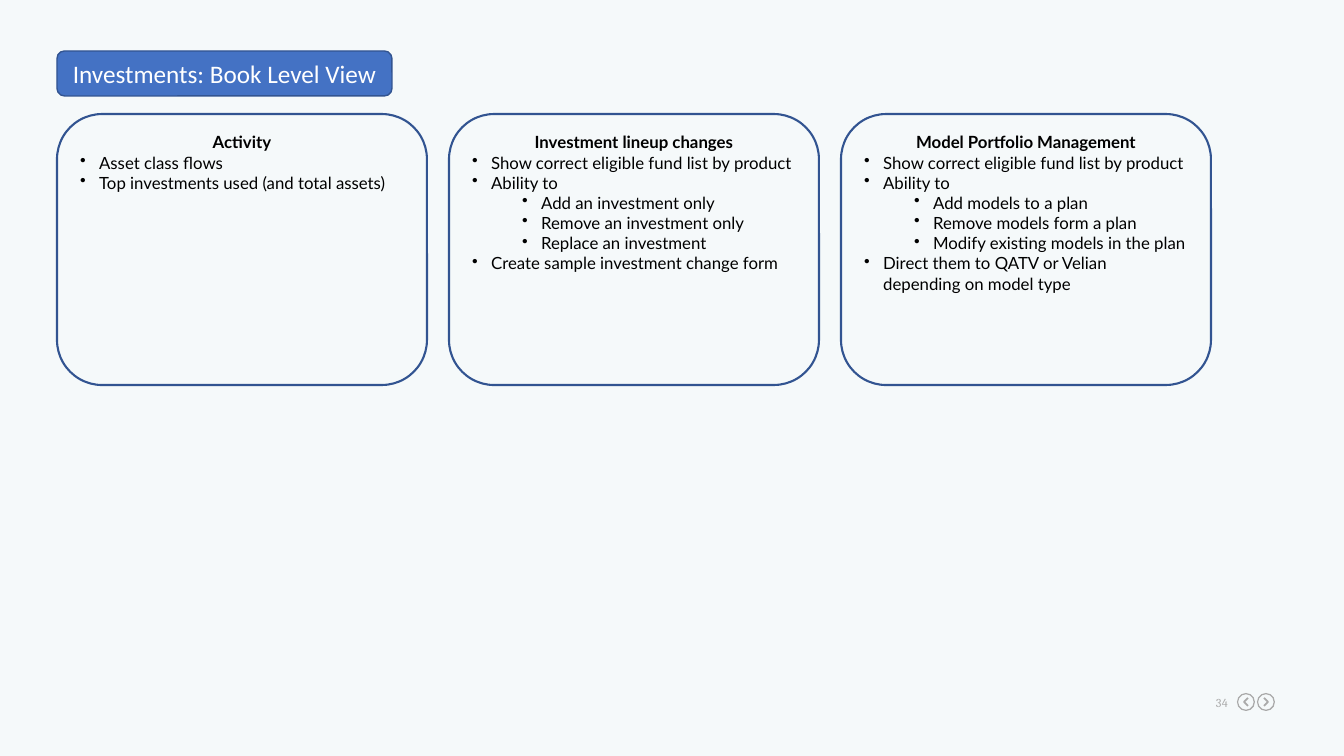
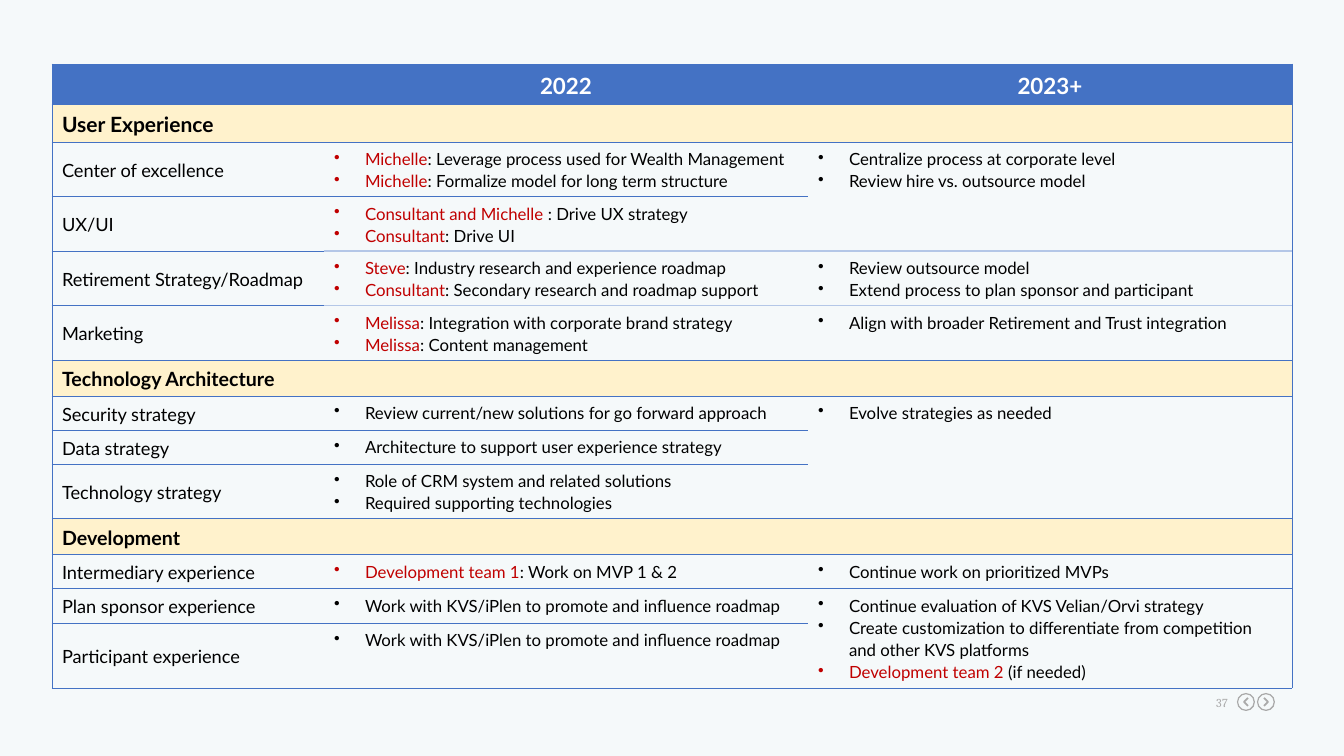
import itertools

import lxml.etree
import pptx
import pptx.dml.color
import pptx.enum.shapes
import pptx.enum.text
import pptx.oxml.ns
import pptx.util

SHAPE = pptx.enum.shapes.MSO_SHAPE
ALIGN = pptx.enum.text.PP_ALIGN
ANCHOR = pptx.enum.text.MSO_ANCHOR
PLAIN_TABLE = "{2D5ABB26-0587-4C30-8999-92F81FD0307C}"
COLORS = {
    "page": "F5F9FA",
    "blue": "4472C4",
    "navy": "325491",
    "pale": "B4C7E7",
    "cream": "FFF2CC",
    "red": "C00000",
    "black": "000000",
    "white": "FFFFFF",
    "grey": "AAAAAA",
}


def px(length):
    """Turn pixels into EMU."""
    return pptx.util.Emu(round(length * 12192000 / 1344))


def rgb(name):
    """Look up a palette colour."""
    return pptx.dml.color.RGBColor.from_string(COLORS[name])


def add_xml(parent, tag, **attributes):
    """Append a drawing element to a parent."""
    return lxml.etree.SubElement(parent, pptx.oxml.ns.qn(tag), attributes)


class Deck:
    """Hold the shared style and the current slide."""

    def __init__(self):
        """Open an empty widescreen presentation."""
        self.presentation = pptx.Presentation()
        self.presentation.slide_width = px(1344)
        self.presentation.slide_height = px(756)

    def new_slide(self, number):
        """Start a slide with its background and footer."""
        self.slide = self.presentation.slides.add_slide(self.presentation.slide_layouts[6])
        self.slide.background.fill.solid()
        self.slide.background.fill.fore_color.rgb = rgb("page")
        self.page_number(number)
        self.nav_button(1237, -1)
        self.nav_button(1257, 1)

    def page_number(self, number):
        """Put the page number in the footer."""
        frame = self.slide.shapes.add_textbox(px(1203), px(695), px(25), px(15)).text_frame
        frame.word_wrap = True
        frame.margin_left = frame.margin_right = frame.margin_top = frame.margin_bottom = 0
        paragraph = frame.paragraphs[0]
        self.put_text(paragraph, str(number), 8.7, "grey", font="Cambria", align=ALIGN.RIGHT)
        paragraph.runs[0].font._element.set("spc", "30")

    def nav_button(self, left, direction):
        """Draw a ringed chevron pointing left (-1) or right (1)."""
        ring = self.shape(SHAPE.DONUT, left, 693, 18, 18, fill="grey")
        ring.adjustments[0] = 0.07
        middle = left + 9
        back, tip = middle - 2 * direction, middle + 2 * direction
        outline = self.slide.shapes.build_freeform(px(back), px(698))
        outline.add_line_segments([(px(tip), px(702)), (px(back), px(706))], close=False)
        self.paint(outline.convert_to_shape(), line="grey", weight=1.25)

    def paint(self, shape, fill=None, line=None, weight=1):
        """Set a shape's fill and line and remove its shadow."""
        shape.shadow.inherit = False
        if fill:
            shape.fill.solid()
            shape.fill.fore_color.rgb = rgb(fill)
        else:
            shape.fill.background()
        if line:
            shape.line.color.rgb = rgb(line)
            shape.line.width = pptx.util.Pt(weight)
        else:
            shape.line.fill.background()

    def shape(self, preset, left, top, width, height, **style):
        """Add a painted preset shape."""
        shape = self.slide.shapes.add_shape(preset, px(left), px(top), px(width), px(height))
        self.paint(shape, **style)
        return shape

    def put_text(self, paragraph, text, size, color="black", font="Lato", bold=False,
                 align=ALIGN.LEFT, spacing=None):
        """Put in text, or an (owner, rest) pair with the owner in red."""
        paragraph.alignment = align
        if spacing:
            paragraph.line_spacing = spacing
        paragraph.font.name = font
        paragraph.font.size = pptx.util.Pt(size)
        paragraph.font.bold = bold
        if isinstance(text, str):
            paragraph.add_run().text = text
            paragraph.font.color.rgb = rgb(color)
            return
        for part, part_color in zip(text, ("red", color)):
            run = paragraph.add_run()
            run.text = part
            run.font.color.rgb = rgb(part_color)

    def bullet(self, paragraph, text, indent, hang, level=0, spacing=None):
        """Fill a bulleted paragraph."""
        paragraph.level = level
        properties = paragraph._p.get_or_add_pPr()
        properties.set("marL", str(px(indent)))
        properties.set("indent", str(-px(hang)))
        bullet_color = "black" if isinstance(text, str) else "red"
        add_xml(add_xml(properties, "a:buClr"), "a:srgbClr", val=COLORS[bullet_color])
        add_xml(properties, "a:buChar", char="•")
        self.put_text(paragraph, text, 12, spacing=spacing)

    def title(self, text):
        """Add the title tag."""
        tag = self.shape(SHAPE.ROUNDED_RECTANGLE, 57, 51, 335, 45, fill="blue", line="navy")
        tag.text_frame.word_wrap = True
        tag.text_frame.vertical_anchor = ANCHOR.MIDDLE
        self.put_text(tag.text_frame.paragraphs[0], text, 18, "white", "Calibri",
                      align=ALIGN.CENTER)

    def card(self, left, heading, points):
        """Add an outlined card with a heading and (level, text) points."""
        card = self.shape(SHAPE.ROUNDED_RECTANGLE, left, 114, 370, 271, line="navy", weight=1.5)
        frame = card.text_frame
        frame.word_wrap = True
        frame.vertical_anchor = ANCHOR.TOP
        self.put_text(frame.paragraphs[0], heading, 12, bold=True, align=ALIGN.CENTER)
        for level, text in points:
            self.bullet(frame.add_paragraph(), text, 19 + 50 * level, 19, level)

    def border(self, cell, side, color, weight=0.5):
        """Draw one side of a table cell."""
        edge = add_xml(cell._tc.get_or_add_tcPr(), f"a:ln{side}", w=str(pptx.util.Pt(weight)))
        add_xml(add_xml(edge, "a:solidFill"), "a:srgbClr", val=COLORS[color])

    def finish_cell(self, table, row, column, fill, pale_rows):
        """Set a cell's borders and fill."""
        cell = table.cell(row, column)
        last_row, last_column = row, column
        if cell.is_merge_origin:
            last_row += cell.span_height - 1
            last_column += cell.span_width - 1
        if column == 0:
            self.border(cell, "L", "blue")
        if last_column == len(table.columns) - 1:
            self.border(cell, "R", "blue")
        if row == 0:
            self.border(cell, "T", "blue")
        below_joined = last_row + 1 < len(table.rows) and (
            table.cell(last_row + 1, column).is_spanned and column > 0
            and not table.cell(last_row + 1, 0).is_merge_origin)
        if not below_joined:
            pale = column > 0 and last_row in pale_rows
            self.border(cell, "B", "pale" if pale else "blue", 1 if pale else 0.5)
        if fill:
            cell.fill.solid()
            cell.fill.fore_color.rgb = rgb(fill)
        else:
            cell.fill.background()

    def roadmap(self, headings, rows, pale_rows):
        """Add the roadmap table; a row whose last part is None joins the cell above."""
        widths = (272, 484, 484)
        heights = [40] + [max(34, 10 + 22 * len(now)) if now else 36 for _, now, _ in rows]
        heights[-1] = 65
        frame = self.slide.shapes.add_table(
            len(heights), len(widths), px(52), px(64), px(sum(widths)), px(sum(heights)))
        table = frame.table
        table.first_row = table.horz_banding = False
        table._tbl.tblPr.find(pptx.oxml.ns.qn("a:tableStyleId")).text = PLAIN_TABLE
        for column, width in zip(table.columns, widths):
            column.width = px(width)
        for row, height in zip(table.rows, heights):
            row.height = px(height)

        for column, heading in enumerate(headings, 1):
            cell = table.cell(0, column)
            cell.vertical_anchor = ANCHOR.MIDDLE
            self.put_text(cell.text_frame.paragraphs[0], heading, 16, "white", bold=True,
                          align=ALIGN.CENTER, spacing=1.1)
        for index, (label, now, later) in enumerate(rows, 1):
            cell = table.cell(index, 0)
            cell.vertical_anchor = ANCHOR.MIDDLE
            section_size = 15 if index == 1 else 14
            self.put_text(cell.text_frame.paragraphs[0], label, 13 if now else section_size,
                          bold=not now, spacing=1.1)
            if not now:
                cell.merge(table.cell(index, 2))
                continue
            joined = len(list(itertools.takewhile(lambda entry: entry[2] is None, rows[index:])))
            if later and joined:
                table.cell(index, 2).merge(table.cell(index + joined, 2))
            for column, points in ((1, now), (2, later or [])):
                text_frame = table.cell(index, column).text_frame
                for position, point in enumerate(points):
                    paragraph = text_frame.add_paragraph() if position else text_frame.paragraphs[0]
                    self.bullet(paragraph, point, 31, 31, spacing=1.1)

        fills = ["blue"] + [None if now else "cream" for _, now, _ in rows]
        for row, column in itertools.product(range(len(heights)), range(len(widths))):
            self.finish_cell(table, row, column, fills[row], pale_rows)


CARDS = [
    ("Activity", [
        (0, "Asset class flows"),
        (0, "Top investments used (and total assets)"),
    ]),
    ("Investment lineup changes", [
        (0, "Show correct eligible fund list by product"),
        (0, "Ability to"),
        (1, "Add an investment only"),
        (1, "Remove an investment only"),
        (1, "Replace an investment"),
        (0, "Create sample investment change form"),
    ]),
    ("Model Portfolio Management", [
        (0, "Show correct eligible fund list by product"),
        (0, "Ability to"),
        (1, "Add models to a plan"),
        (1, "Remove models form a plan"),
        (1, "Modify existing models in the plan"),
        (0, "Direct them to QATV or Velian depending on model type"),
    ]),
]

PROMOTE = "Work with KVS/iPlen to promote and influence roadmap"
ROADMAP = [
    ("User Experience", [], []),
    ("Center of excellence",
     [("Michelle", ": Leverage process used for Wealth Management"),
      ("Michelle", ": Formalize model for long term structure")],
     ["Centralize process at corporate level", "Review hire vs. outsource model"]),
    ("UX/UI",
     [("Consultant and Michelle ", ": Drive UX strategy"), ("Consultant", ": Drive UI")], None),
    ("Retirement Strategy/Roadmap",
     [("Steve", ": Industry research and experience roadmap"),
      ("Consultant", ": Secondary research and roadmap support")],
     ["Review outsource model", "Extend process to plan sponsor and participant"]),
    ("Marketing",
     [("Melissa", ": Integration with corporate brand strategy"),
      ("Melissa", ": Content management")],
     ["Align with broader Retirement and Trust integration"]),
    ("Technology Architecture", [], []),
    ("Security strategy", ["Review current/new solutions for go forward approach"],
     ["Evolve strategies as needed"]),
    ("Data strategy", ["Architecture to support user experience strategy"], None),
    ("Technology strategy",
     ["Role of CRM system and related solutions", "Required supporting technologies"], None),
    ("Development", [], []),
    ("Intermediary experience", [("Development team 1", ": Work on MVP 1 & 2")],
     ["Continue work on prioritized MVPs"]),
    ("Plan sponsor experience", [PROMOTE],
     ["Continue evaluation of KVS Velian/Orvi strategy",
      "Create customization to differentiate from competition and other KVS platforms",
      ("Development team 2", " (if needed)")]),
    ("Participant experience", [PROMOTE], None),
]


def main():
    """Build both slides and save them."""
    deck = Deck()
    deck.new_slide(34)
    deck.title("Investments: Book Level View")
    for index, (heading, points) in enumerate(CARDS):
        deck.card(57 + 392 * index, heading, points)
    deck.new_slide(37)
    deck.roadmap(("2022", "2023+"), ROADMAP, pale_rows=(3, 4))
    deck.presentation.save("out.pptx")


if __name__ == "__main__":
    main()
